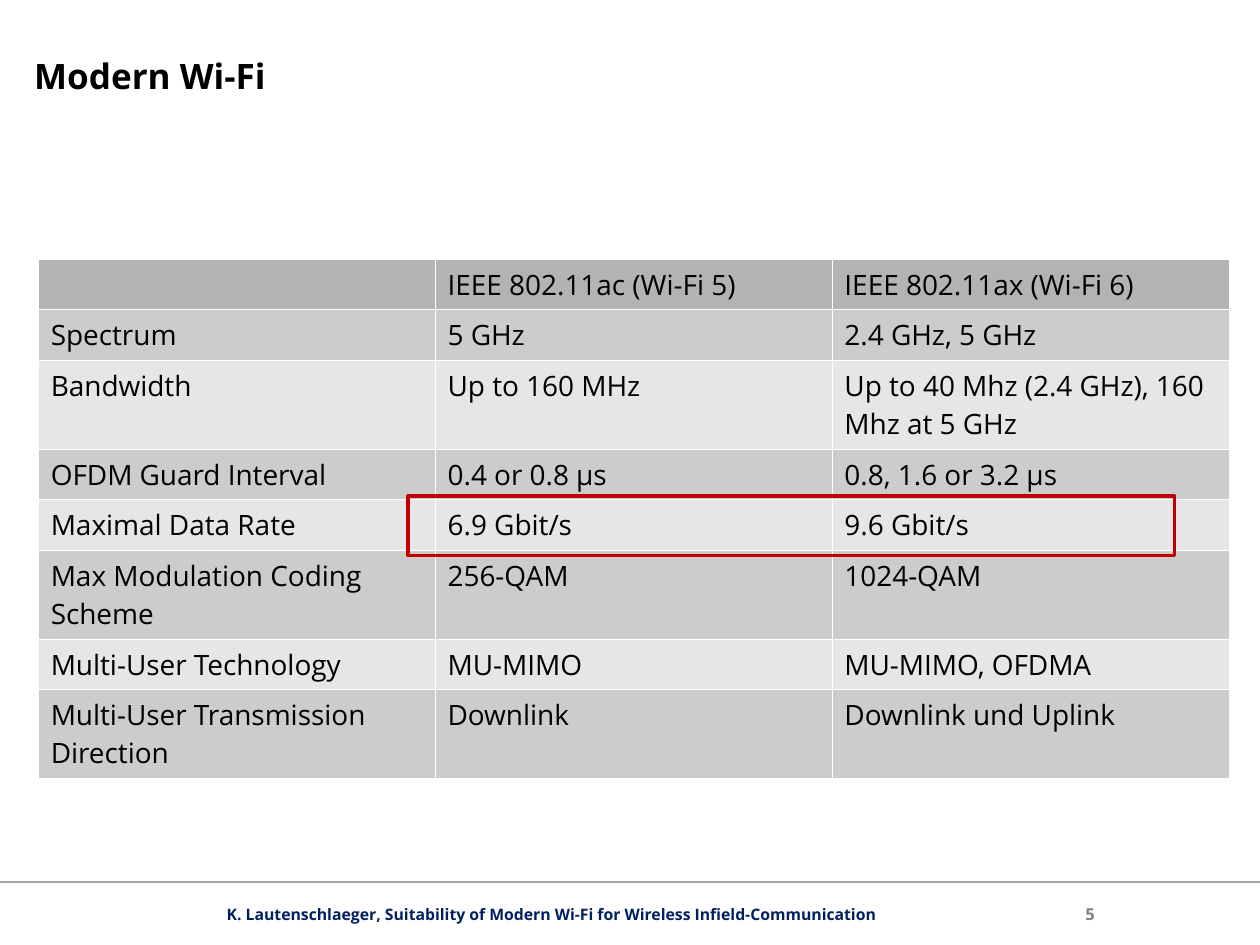
import pptx
import pptx.util
import pptx.dml.color
import pptx.enum.shapes
import pptx.enum.text
from lxml import etree

Cm, Pt = pptx.util.Cm, pptx.util.Pt
RGBColor = pptx.dml.color.RGBColor

# Content
TITLE = "Modern Wi-Fi"
FOOTER = "K. Lautenschlaeger,\u00a0Suitability of Modern Wi-Fi for Wireless Infield-Communication"
PAGE_NUMBER = "5"
COMPARISON = [
    ("", "IEEE 802.11ac (Wi-Fi 5)", "IEEE 802.11ax (Wi-Fi 6)"),
    ("Spectrum", "5 GHz", "2.4 GHz, 5 GHz"),
    ("Bandwidth", "Up to 160 MHz", "Up to 40 Mhz (2.4 GHz), 160 Mhz at 5 GHz"),
    ("OFDM Guard Interval", "0.4 or 0.8 μs", "0.8, 1.6 or 3.2 μs"),
    ("Maximal Data Rate", "6.9 Gbit/s", "9.6 Gbit/s"),
    ("Max Modulation Coding Scheme", "256-QAM", "1024-QAM"),
    ("Multi-User Technology", "MU-MIMO", "MU-MIMO, OFDMA"),
    ("Multi-User Transmission Direction", "Downlink", "Downlink und Uplink"),
]
TWO_LINE_ROWS = {2, 5, 7}

# Style
FONT = "Open Sans"
BLACK = RGBColor(0x00, 0x00, 0x00)
NAVY = RGBColor(0x00, 0x20, 0x60)
GRAY = RGBColor(0x80, 0x80, 0x80)
RULE_GRAY = RGBColor(0xA6, 0xA6, 0xA6)
RED = RGBColor(0xC0, 0x00, 0x00)
HEADER_FILL = RGBColor(0xB3, 0xB3, 0xB3)
BAND_FILLS = (RGBColor(0xE6, 0xE6, 0xE6), RGBColor(0xCC, 0xCC, 0xCC))
BORDER_COLOR = "FFFFFF"
TABLE_SIZE = Pt(16)
COLUMN_WIDTH = Cm(8)
ROW_HEIGHT, TALL_ROW_HEIGHT = Cm(1.02), Cm(1.79)
A = "{http://schemas.openxmlformats.org/drawingml/2006/main}"


def add_run(paragraph, text, size, color, bold=False):
    run = paragraph.add_run()
    run.text = text
    run.font.name, run.font.size, run.font.bold = FONT, size, bold
    run.font.color.rgb = color


def add_label(slide, box, text, size, color):
    frame = slide.shapes.add_textbox(*map(Cm, box)).text_frame
    frame.word_wrap = True
    frame.vertical_anchor = pptx.enum.text.MSO_ANCHOR.MIDDLE
    frame.margin_left = frame.margin_right = frame.margin_top = frame.margin_bottom = 0
    add_run(frame.paragraphs[0], text, size, color, bold=True)


def add_borders(cell):
    properties = cell._tc.get_or_add_tcPr()
    for side in ("lnL", "lnR", "lnT", "lnB"):
        line = etree.SubElement(properties, A + side, w=str(Pt(0.06)))
        fill = etree.SubElement(line, A + "solidFill")
        etree.SubElement(fill, A + "srgbClr", val=BORDER_COLOR)


def add_comparison(slide):
    heights = [TALL_ROW_HEIGHT if i in TWO_LINE_ROWS else ROW_HEIGHT
               for i in range(len(COMPARISON))]
    columns = len(COMPARISON[0])
    table = slide.shapes.add_table(len(heights), columns, Cm(0.77), Cm(5.22),
                                   COLUMN_WIDTH * columns, sum(heights)).table
    table.first_row = table.horz_banding = False
    for column in table.columns:
        column.width = COLUMN_WIDTH
    for i, (texts, height) in enumerate(zip(COMPARISON, heights)):
        table.rows[i].height = height
        for j, text in enumerate(texts):
            cell = table.cell(i, j)
            add_borders(cell)
            cell.fill.solid()
            cell.fill.fore_color.rgb = BAND_FILLS[i % 2] if i else HEADER_FILL
            paragraph = cell.text_frame.paragraphs[0]
            if text:
                add_run(paragraph, text, TABLE_SIZE, BLACK)
            else:  # keeps the empty cell from stretching its row
                etree.SubElement(paragraph._p, A + "endParaRPr",
                                 sz=str(int(TABLE_SIZE.pt * 100)))


def main():
    deck = pptx.Presentation()
    deck.slide_width, deck.slide_height = Cm(25.4), Cm(19.05)
    slide = deck.slides.add_slide(deck.slide_layouts[6])

    # Footer rule
    rule = slide.shapes.add_connector(pptx.enum.shapes.MSO_CONNECTOR.STRAIGHT,
                                      0, Cm(17.78), deck.slide_width, Cm(17.78))
    rule.line.color.rgb, rule.line.width = RULE_GRAY, Pt(1)
    etree.SubElement(rule._element.spPr, A + "effectLst")

    # Title, comparison table and footer texts
    add_label(slide, (20.8, 18.11, 1.27, 0.64), PAGE_NUMBER, Pt(9.4), GRAY)
    slide.shapes[-1].text_frame.paragraphs[0].alignment = pptx.enum.text.PP_ALIGN.RIGHT
    add_label(slide, (0.69, 0.53, 24, 1.98), TITLE, Pt(20), BLACK)
    add_comparison(slide)
    add_label(slide, (4.57, 18.11, 16.56, 0.64), FOOTER, Pt(9), NAVY)

    # Frame around the data rates
    frame = slide.shapes.add_shape(pptx.enum.shapes.MSO_SHAPE.RECTANGLE,
                                   Cm(8.23), Cm(10), Cm(15.45), Cm(1.2))
    frame.shadow.inherit = False
    frame.fill.background()
    frame.line.color.rgb, frame.line.width = RED, Pt(2)

    deck.save("out.pptx")


if __name__ == "__main__":
    main()
